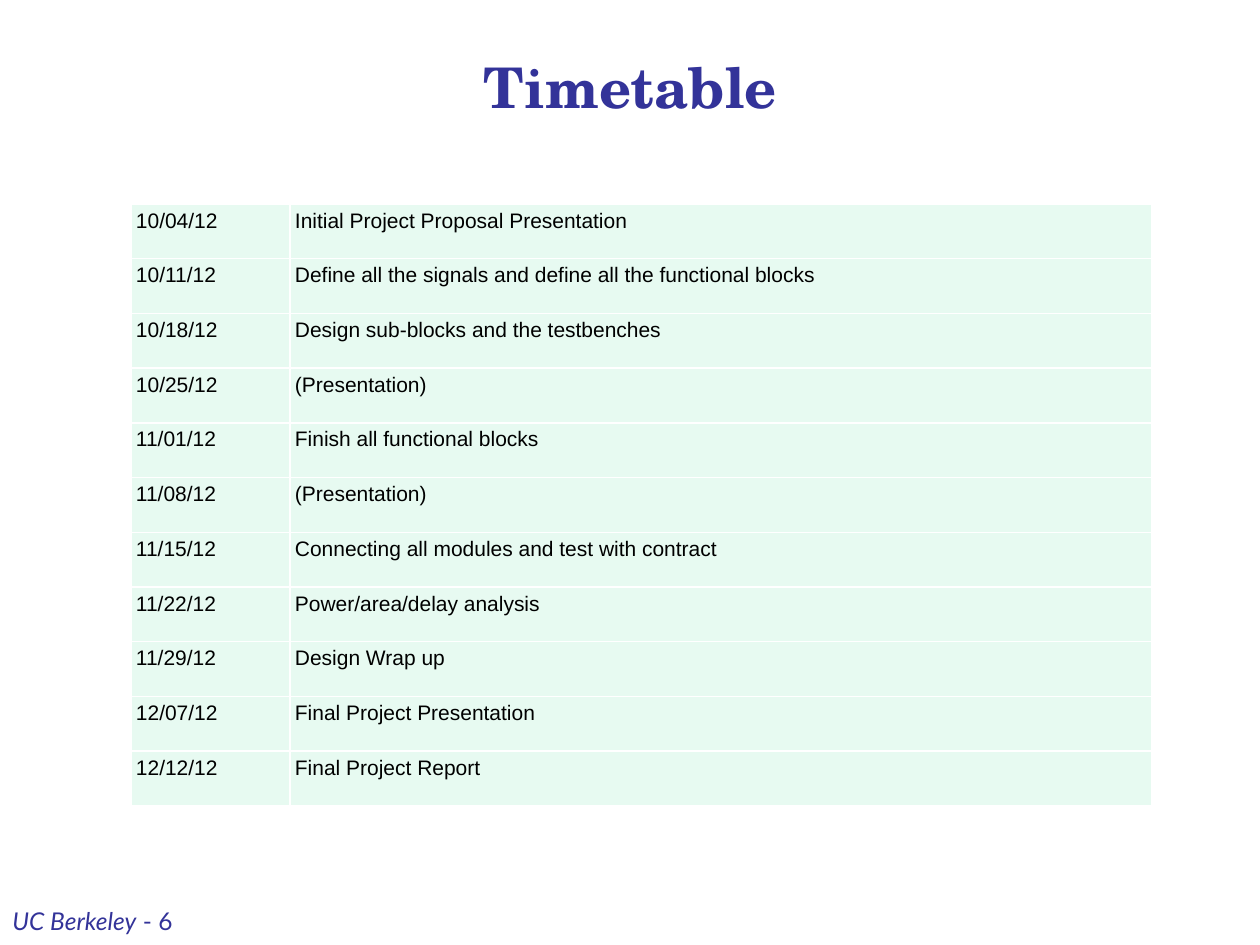
from lxml.etree import SubElement
from pptx import Presentation
from pptx.dml.color import RGBColor
from pptx.enum.text import MSO_ANCHOR, PP_ALIGN
from pptx.oxml.ns import qn
from pptx.util import Emu, Pt

PX_PER_INCH = 126
NAVY, BLACK, WHITE, MINT = "333399", "000000", "FFFFFF", "E7FAF1"

SCHEDULE = [
    ("10/04/12", "Initial Project Proposal Presentation"),
    ("10/11/12", "Define all the signals and define all the functional blocks"),
    ("10/18/12", "Design sub-blocks and the testbenches"),
    ("10/25/12", "(Presentation)"),
    ("11/01/12", "Finish all functional blocks"),
    ("11/08/12", "(Presentation)"),
    ("11/15/12", "Connecting all modules and test with contract"),
    ("11/22/12", "Power/area/delay analysis"),
    ("11/29/12", "Design Wrap up"),
    ("12/07/12", "Final Project Presentation"),
    ("12/12/12", "Final Project Report"),
]


def px(length):
    return Emu(round(length * 914400 / PX_PER_INCH))


def rgb(hex_color):
    return RGBColor.from_string(hex_color)


def add_run(paragraph, text, font_name, size, color, bold=False, italic=False):
    run = paragraph.add_run()
    run.text = text
    font = run.font
    font.name, font.size = font_name, Pt(size)
    font.bold, font.italic = bold, italic
    font.color.rgb = rgb(color)


def set_borders(cell, color, width):
    """Draw all four cell borders; they must precede the fill in the XML."""
    properties = cell._tc.get_or_add_tcPr()
    for position, side in enumerate(("lnL", "lnR", "lnT", "lnB")):
        border = SubElement(properties, qn(f"a:{side}"), w=str(Pt(width)))
        fill = SubElement(border, qn("a:solidFill"))
        SubElement(fill, qn("a:srgbClr"), val=color)
        properties.insert(position, border)


def add_title(slide, text):
    title = slide.shapes.title
    title.left, title.top, title.width, title.height = map(px, (95, 42, 1071, 84))
    frame = title.text_frame
    frame.vertical_anchor = MSO_ANCHOR.BOTTOM
    heading = frame.paragraphs[0]
    heading.alignment = PP_ALIGN.CENTER
    add_run(heading, text, "TeX Gyre Schola", 32, NAVY, bold=True)


def fill_cell(cell, text):
    cell.margin_left = cell.margin_right = px(5)
    cell.margin_top = cell.margin_bottom = px(5)
    cell.fill.solid()
    cell.fill.fore_color.rgb = rgb(MINT)
    set_borders(cell, WHITE, 1)
    add_run(cell.text_frame.paragraphs[0], text, "Arial", 12, BLACK)


def add_timetable(slide, schedule):
    date_width, task_width = 159, 862
    table = slide.shapes.add_table(
        len(schedule), 2, px(131), px(204), px(date_width + task_width), px(602)
    ).table
    table.first_row = table.horz_banding = False
    table.columns[0].width = px(date_width)
    table.columns[1].width = px(task_width)
    for row, entry in zip(table.rows, schedule):
        for cell, text in zip(row.cells, entry):
            fill_cell(cell, text)


def add_footer(slide, school, page):
    footer = slide.shapes.add_textbox(px(0), px(900), px(324), px(45))
    frame = footer.text_frame
    frame.word_wrap = True
    line = frame.paragraphs[0]
    add_run(line, school, "Lato", 14, NAVY, italic=True)
    add_run(line, f" - {page}", "Lato", 14, NAVY)


def main():
    prs = Presentation()
    prs.slide_width, prs.slide_height = px(1260), px(945)
    title_only = prs.slide_layouts[5]
    slide = prs.slides.add_slide(title_only)
    add_title(slide, "Timetable")
    add_timetable(slide, SCHEDULE)
    add_footer(slide, "UC Berkeley", 6)
    prs.save("out.pptx")


if __name__ == "__main__":
    main()
